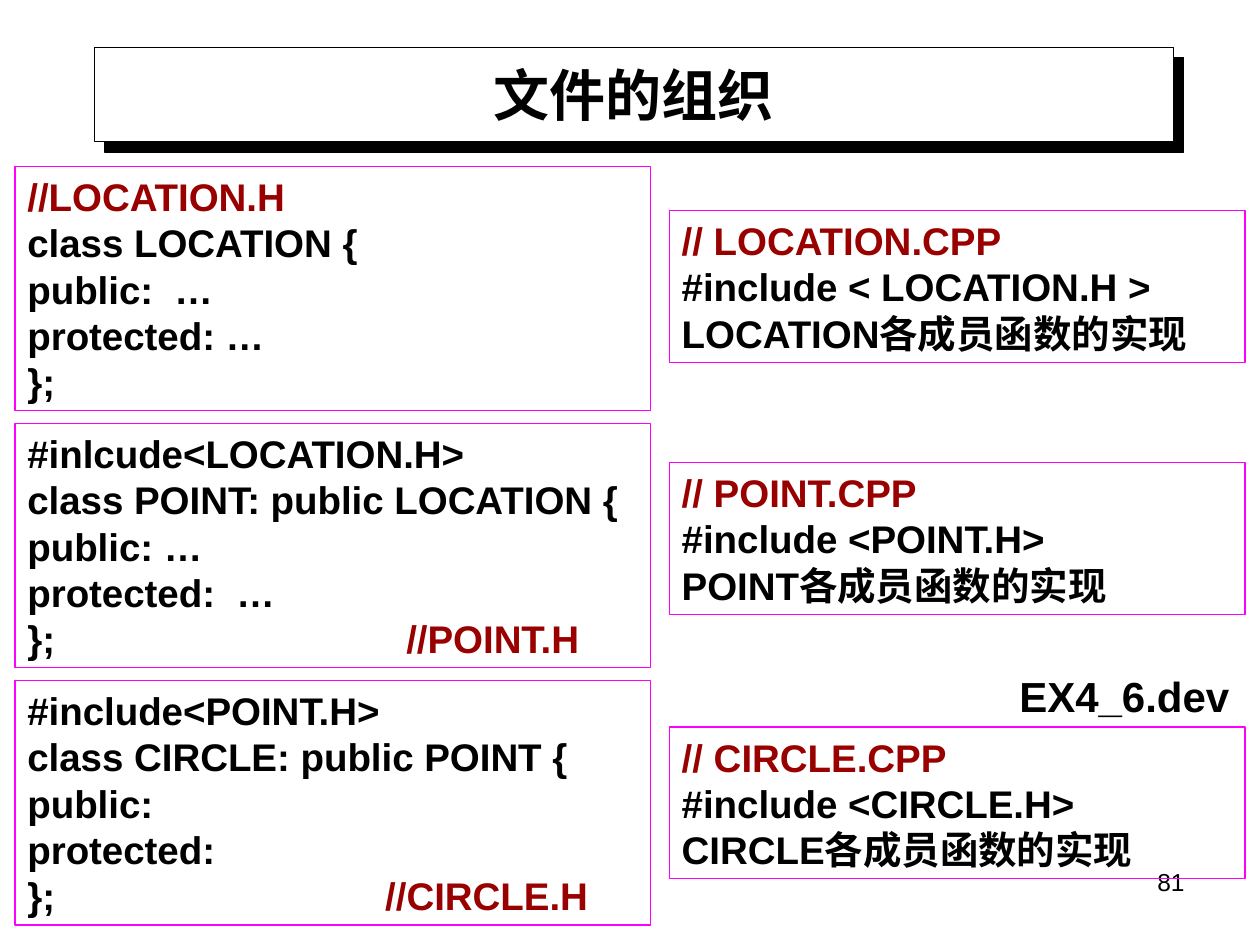
"""Build the slide on how the class files are organised."""
import pptx
import pptx.util
import pptx.dml.color
import pptx.enum.shapes
import pptx.enum.text
import pptx.oxml
import pptx.oxml.ns

Pt = pptx.util.Pt
ALIGN = pptx.enum.text.PP_ALIGN
ANCHOR = pptx.enum.text.MSO_ANCHOR
FIT = pptx.enum.text.MSO_AUTO_SIZE
RECT = pptx.enum.shapes.MSO_SHAPE.RECTANGLE

HUES = {"ink": "000000", "paper": "FFFFFF", "edge": "FF00FF", "note": "990000"}

TITLE = "文件的组织"
HEADS = [
    (["//LOCATION.H", "class LOCATION {", "public:  …", "protected: …", "};"], 0),
    (["#inlcude<LOCATION.H>", "class POINT: public LOCATION {", "public: …",
      "protected:  …", "};\t//POINT.H"], 216.5),
    (["#include<POINT.H>", "class CIRCLE: public POINT {", "public:",
      "protected:", "};\t//CIRCLE.H"], 204.5),
]
CODES = [
    (["// LOCATION.CPP", "#include < LOCATION.H >", "LOCATION各成员函数的实现"], 120.3),
    (["// POINT.CPP", "#include <POINT.H>", "POINT各成员函数的实现"], 264.3),
    (["// CIRCLE.CPP", "#include <CIRCLE.H>", "CIRCLE各成员函数的实现"], 415.5),
]
LABEL = "EX4_6.dev"
PAGE = "81"

BANNER = (54, 27, 616.5, 54)
HEAD = {"left": 8.6, "top": 95.1, "width": 363, "step": 146.9}
CODE = {"left": 382.5, "width": 329}
LEAD, INSET = 26.5, 3.6
FORMS = {
    "title": {"size": Pt(32), "name": "Times New Roman", "bold": True},
    "code": {"size": Pt(22), "name": "Arial", "bold": True},
    "label": {"size": Pt(24), "name": "Arial", "bold": True},
    "page": {"size": Pt(14), "name": "Arial", "bold": False},
}


def hue(name):
    return pptx.dml.color.RGBColor.from_string(HUES[name])


def write(para, text, form, tone="ink"):
    run = para.add_run()
    run.text = text
    for key, value in FORMS[form].items():
        setattr(run.font, key, value)
    run.font.color.rgb = hue(tone)


def add_rect(slide, area, edge):
    box = slide.shapes.add_shape(RECT, *map(Pt, area))
    box.shadow.inherit = False
    box.line.color.rgb = hue(edge)
    box.line.width = Pt(0.75)
    return box


def add_tab(para, stop):
    para._p.get_or_add_pPr().append(pptx.oxml.parse_xml(
        f'<a:tabLst {pptx.oxml.ns.nsdecls("a")}>'
        f'<a:tab pos="{Pt(stop)}" algn="l"/></a:tabLst>'))


def add_code(slide, lines, left, top, width, stop=0):
    high = LEAD * len(lines) + 2 * INSET
    box = add_rect(slide, (left, top, width, high), "edge")
    box.fill.background()
    frame = box.text_frame
    frame.vertical_anchor = ANCHOR.TOP
    frame.word_wrap = True
    frame.auto_size = FIT.SHAPE_TO_FIT_TEXT
    for i, line in enumerate(lines):
        para = frame.add_paragraph() if i else frame.paragraphs[0]
        para.alignment = ALIGN.LEFT
        para.line_spacing = Pt(LEAD)
        start, tab, note = line.partition("\t")
        if tab:
            add_tab(para, stop)
        write(para, start + tab, "code", "note" if start.startswith("//") else "ink")
        if note:
            write(para, note, "code", "note")


def add_text(slide, text, area, form, align):
    frame = slide.shapes.add_textbox(*map(Pt, area)).text_frame
    frame.word_wrap = True
    para = frame.paragraphs[0]
    para.alignment = align
    para.line_spacing = Pt(FORMS[form]["size"].pt * 1.2)
    write(para, text, form)


def add_title(slide):
    panel = add_rect(slide, BANNER, "ink")
    panel.fill.solid()
    panel.fill.fore_color.rgb = hue("paper")
    glow = panel._element.spPr.find(pptx.oxml.ns.qn("a:effectLst"))
    glow.append(pptx.oxml.parse_xml(
        f'<a:outerShdw {pptx.oxml.ns.nsdecls("a")} blurRad="0" dist="{Pt(8.5)}" '
        f'dir="2700000" algn="ctr" rotWithShape="0">'
        f'<a:srgbClr val="{HUES["ink"]}"/></a:outerShdw>'))
    title = slide.shapes.title
    title._element.addprevious(panel._element)
    for key, value in zip(("left", "top", "width", "height"), BANNER):
        setattr(title, key, Pt(value))
    frame = title.text_frame
    frame.auto_size = FIT.NONE
    frame.vertical_anchor = ANCHOR.MIDDLE
    para = frame.paragraphs[0]
    para.alignment = ALIGN.CENTER
    write(para, TITLE, "title")


def main():
    deck = pptx.Presentation()
    deck.slide_width, deck.slide_height = Pt(720), Pt(540)
    slide = deck.slides.add_slide(deck.slide_layouts[5])
    add_title(slide)
    add_text(slide, PAGE, (516, 492, 168, 37.5), "page", ALIGN.RIGHT)
    for i, (lines, stop) in enumerate(HEADS):
        top = HEAD["top"] + i * HEAD["step"]
        add_code(slide, lines, HEAD["left"], top, HEAD["width"], stop)
    for lines, top in CODES:
        add_code(slide, lines, CODE["left"], top, CODE["width"])
    add_text(slide, LABEL, (575.4, 379.5, 136, 36), "label", ALIGN.LEFT)
    deck.save("out.pptx")


if __name__ == "__main__":
    main()
